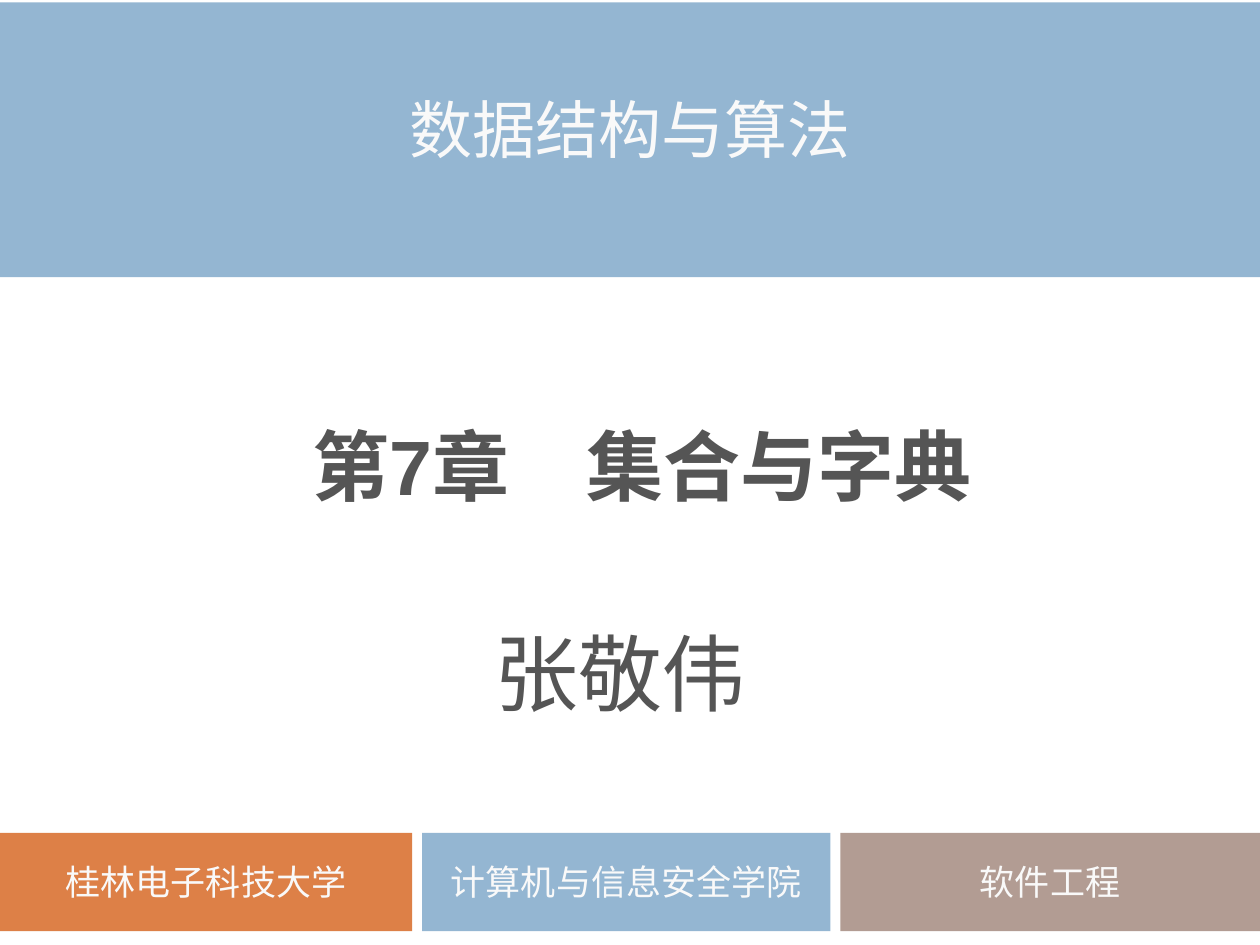
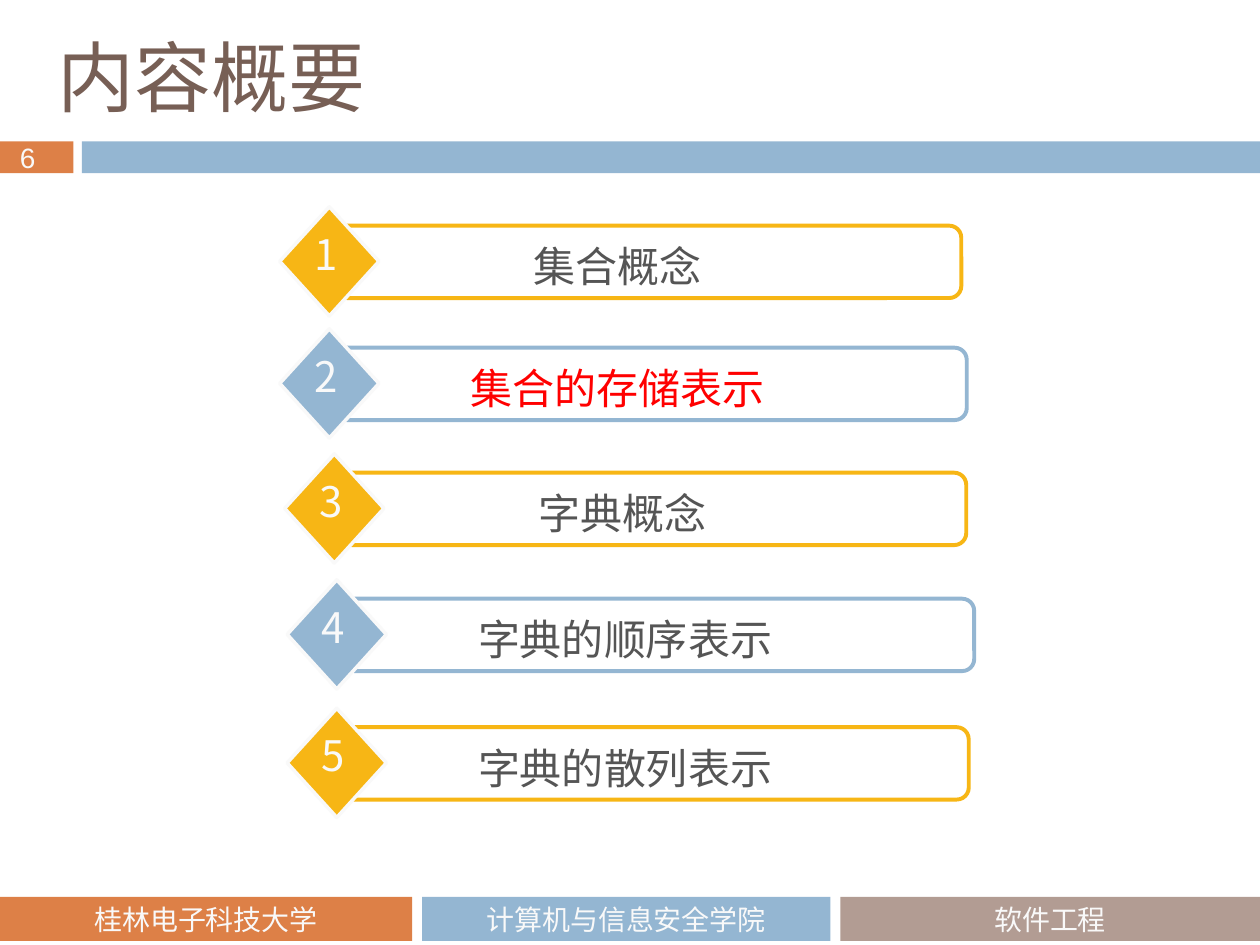
"""Build the chapter cover and the contents slide of a data structures course."""
import pptx
import pptx.util
from pptx.dml.color import RGBColor
from pptx.enum.shapes import MSO_SHAPE
from pptx.enum.text import MSO_ANCHOR, MSO_AUTO_SIZE, PP_ALIGN
from pptx.oxml.ns import qn
from pptx.util import Cm

ORANGE = RGBColor(0xDD, 0x80, 0x47)
BLUE = RGBColor(0x94, 0xB6, 0xD2)
TAUPE = RGBColor(0xB2, 0x9C, 0x93)
GOLD = RGBColor(0xF7, 0xB6, 0x15)
BROWN = RGBColor(0x77, 0x5F, 0x55)
GREY = RGBColor(0x55, 0x55, 0x55)
RED = RGBColor(0xFF, 0x00, 0x00)
PALE = RGBColor(0xF9, 0xF9, 0xF9)
SANS = "Noto Sans CJK SC"
SANS_JP = "Noto Sans CJK JP"
FOOTER = [
    ("桂林电子科技大学", 0, 8.31, ORANGE),
    ("计算机与信息安全学院", 8.51, 8.23, BLUE),
    ("软件工程", 16.94, 8.46, TAUPE),
]


def draw(slide, kind, box, fill=None, line=None, width=0):
    """Add a preset shape, or a text box when kind is None."""
    area = [Cm(part) for part in box]
    if kind is None:
        return slide.shapes.add_textbox(*area)
    shape = slide.shapes.add_shape(kind, *area)
    shape.shadow.inherit = False
    if fill is None:
        shape.fill.background()
    else:
        shape.fill.solid()
        shape.fill.fore_color.rgb = fill
    if line is None:
        shape.line.fill.background()
    else:
        shape.line.color.rgb = line
        shape.line.width = pptx.util.Pt(width)
    return shape


def write(shape, text, size, color, latin=SANS, asian=SANS,
          align=PP_ALIGN.CENTER, bold=False, inset=0):
    """Set one formatted line of text, centred vertically."""
    frame = shape.text_frame
    frame.text = text
    frame.word_wrap = True
    frame.auto_size = MSO_AUTO_SIZE.NONE
    frame.vertical_anchor = MSO_ANCHOR.MIDDLE
    frame.margin_left = frame.margin_right = Cm(inset)
    frame.margin_top = frame.margin_bottom = 0
    line = frame.paragraphs[0]
    line.alignment = align
    font = line.runs[0].font
    font.size = pptx.util.Pt(size)
    font.bold = bold
    font.color.rgb = color
    font.name = latin
    mark = font._element.makeelement(qn("a:ea"), {"typeface": asian})
    font._element.find(qn("a:latin")).addnext(mark)


deck = pptx.Presentation()
deck.slide_width, deck.slide_height = Cm(25.4), Cm(19.05)
plain = deck.slide_layouts.get_by_name("Title Only")
cover = deck.slides.add_slide(plain)
list_page = deck.slides.add_slide(plain)

for slide, top, height, size in [(cover, 16.79, 1.98, 20), (list_page, 18.08, 0.89, 16)]:
    for text, left, width, fill in FOOTER:
        cell = draw(slide, MSO_SHAPE.RECTANGLE, (left, top, width, height), fill)
        write(cell, text, size, PALE, "Calibri")

course = cover.shapes.title
course.left, course.top, course.width, course.height = Cm(0), Cm(0.05), Cm(25.4), Cm(5.54)
course.fill.solid()
course.fill.fore_color.rgb = BLUE
write(course, "数据结构与算法", 36, PALE, "Times New Roman")
course.text_frame.paragraphs[0].line_spacing = pptx.util.Pt(30)

topic = draw(cover, None, (1.8, 7.62, 22.28, 3.51))
write(topic, "第7章　集合与字典", 44, GREY, "Arial", bold=True)
author = draw(cover, None, (7.47, 12.4, 10.06, 2.31))
write(author, "张敬伟", 48, GREY, SANS_JP, SANS_JP)

head = list_page.shapes.title
head.left, head.top, head.width, head.height = Cm(0.91), Cm(0.69), Cm(14.4), Cm(1.68)
write(head, "内容概要", 44, BROWN, SANS_JP, SANS_JP, PP_ALIGN.LEFT, inset=0.25)

tab = draw(list_page, MSO_SHAPE.RECTANGLE, (0, 2.85, 1.48, 0.64), ORANGE)
write(tab, "6", 16, PALE, "Arial", align=PP_ALIGN.LEFT, inset=0.4)
draw(list_page, MSO_SHAPE.RECTANGLE, (1.65, 2.85, 23.75, 0.64), BLUE)

items = [
    ("集合概念", 6.76, 4.55, GREY),
    ("集合的存储表示", 6.76, 7.01, RED),
    ("字典概念", 6.86, 9.53, GREY),
    ("字典的顺序表示", 6.91, 12.07, GREY),
    ("字典的散列表示", 6.91, 14.66, GREY),
]
for index, (text, left, top, color) in enumerate(items, 1):
    hue, width = (GOLD, 12.62) if index % 2 else (BLUE, 12.73)
    draw(list_page, MSO_SHAPE.ROUNDED_RECTANGLE, (left, top, width, 1.46), line=hue, width=2.25)
    draw(list_page, MSO_SHAPE.DIAMOND, (left - 1.12, top - 0.38, 2, 2.2), hue, PALE, 2)
    label = draw(list_page, None, (left + 0.7, top + 0.18, 9.98, 1.27))
    write(label, text, 24, color)
    digit = draw(list_page, None, (left - 0.66, top - 0.08, 0.94, 1.27))
    write(digit, str(index), 24, PALE)

deck.save("out.pptx")
